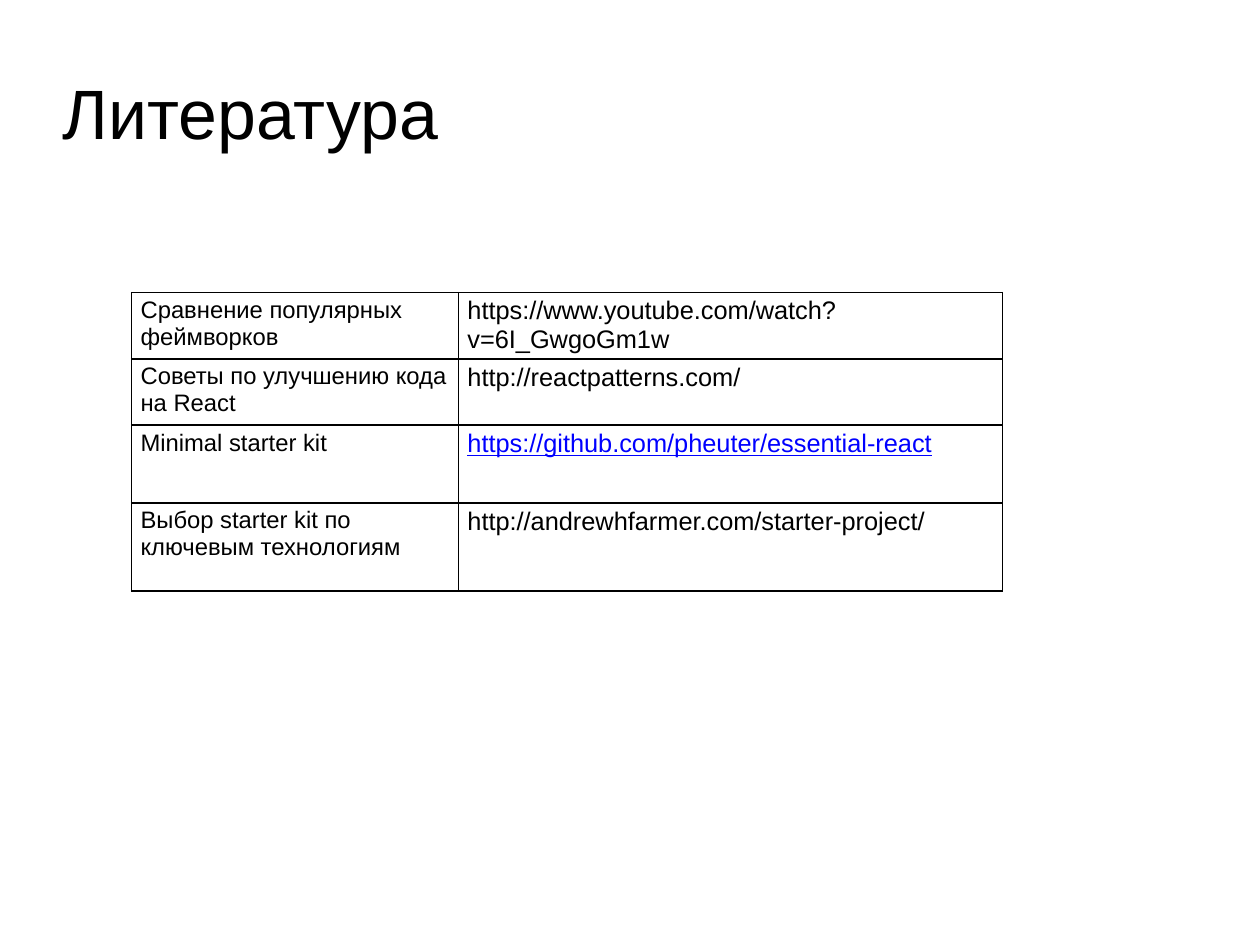
from dataclasses import dataclass

import lxml.etree
import pptx
import pptx.dml.color
import pptx.enum.text
import pptx.oxml.ns
import pptx.util

Inches = pptx.util.Inches
Pt = pptx.util.Pt
qn = pptx.oxml.ns.qn

FONT = "Arial"
COLORS = {"text": "000000", "link": "0000FF"}
MM_PER_INCH = 25.4
COLUMN_WIDTHS = (2.86, 4.76)


@dataclass
class Source:
    topic: str
    url: str
    height: float
    linked: bool = False


SOURCES = [
    Source("Сравнение популярных феймворков",
           "https://www.youtube.com/watch?v=6I_GwgoGm1w", 0.58),
    Source("Советы по улучшению кода на React", "http://reactpatterns.com/", 0.58),
    Source("Minimal starter kit",
           "https://github.com/pheuter/essential-react", 0.68, linked=True),
    Source("Выбор starter kit по ключевым технологиям",
           "http://andrewhfarmer.com/starter-project/", 0.77),
]


def add_text(tf, text: str, size: float, spacing: float, linked: bool = False) -> None:
    p = tf.paragraphs[0]
    p.alignment = pptx.enum.text.PP_ALIGN.LEFT
    p.line_spacing = spacing
    r = p.add_run()
    r.text = text
    r.font.name = FONT
    r.font.size = Pt(size)
    r.font.underline = linked
    color = COLORS["link" if linked else "text"]
    r.font.color.rgb = pptx.dml.color.RGBColor.from_string(color)


def add_borders(cell) -> None:
    tc_pr = cell._tc.get_or_add_tcPr()
    for i, side in enumerate(("lnL", "lnR", "lnT", "lnB")):
        ln = lxml.etree.Element(qn(f"a:{side}"), w=str(Pt(1)))
        fill = lxml.etree.SubElement(ln, qn("a:solidFill"))
        lxml.etree.SubElement(fill, qn("a:srgbClr"), val=COLORS["text"])
        tc_pr.insert(i, ln)


def fill_cell(cell, text: str, size: float, linked: bool = False) -> None:
    cell.fill.background()
    cell.margin_left = cell.margin_right = Inches(0.08)
    cell.margin_top = cell.margin_bottom = Inches(0.04)
    add_text(cell.text_frame, text, size, 1.0, linked)
    add_borders(cell)


def add_title(s, text: str) -> None:
    sp = s.shapes.title
    sp.left, sp.top = Inches(0.55), Inches(0.33)
    sp.width, sp.height = Inches(9.92), Inches(1.38)
    tf = sp.text_frame
    tf.margin_left = tf.margin_right = tf.margin_top = tf.margin_bottom = 0
    tf.vertical_anchor = pptx.enum.text.MSO_ANCHOR.MIDDLE
    tf.word_wrap = True
    add_text(tf, text, 44, 0.9)


def add_sources(s, sources: list[Source]) -> None:
    height = sum(source.height for source in sources)
    table = s.shapes.add_table(
        len(sources), len(COLUMN_WIDTHS), Inches(1.15), Inches(2.56),
        Inches(sum(COLUMN_WIDTHS)), Inches(height)).table
    table.first_row = table.horz_banding = False
    for column, width in zip(table.columns, COLUMN_WIDTHS):
        column.width = Inches(width)
    for row, source in zip(table.rows, sources):
        row.height = Inches(source.height)
        topic, url = row.cells
        fill_cell(topic, source.topic, 15)
        fill_cell(url, source.url, 16, source.linked)


def main() -> None:
    prs = pptx.Presentation()
    prs.slide_width = Inches(280 / MM_PER_INCH)
    prs.slide_height = Inches(210 / MM_PER_INCH)
    s = prs.slides.add_slide(prs.slide_layouts[5])
    add_title(s, "Литература")
    add_sources(s, SOURCES)
    prs.save("out.pptx")


if __name__ == "__main__":
    main()
